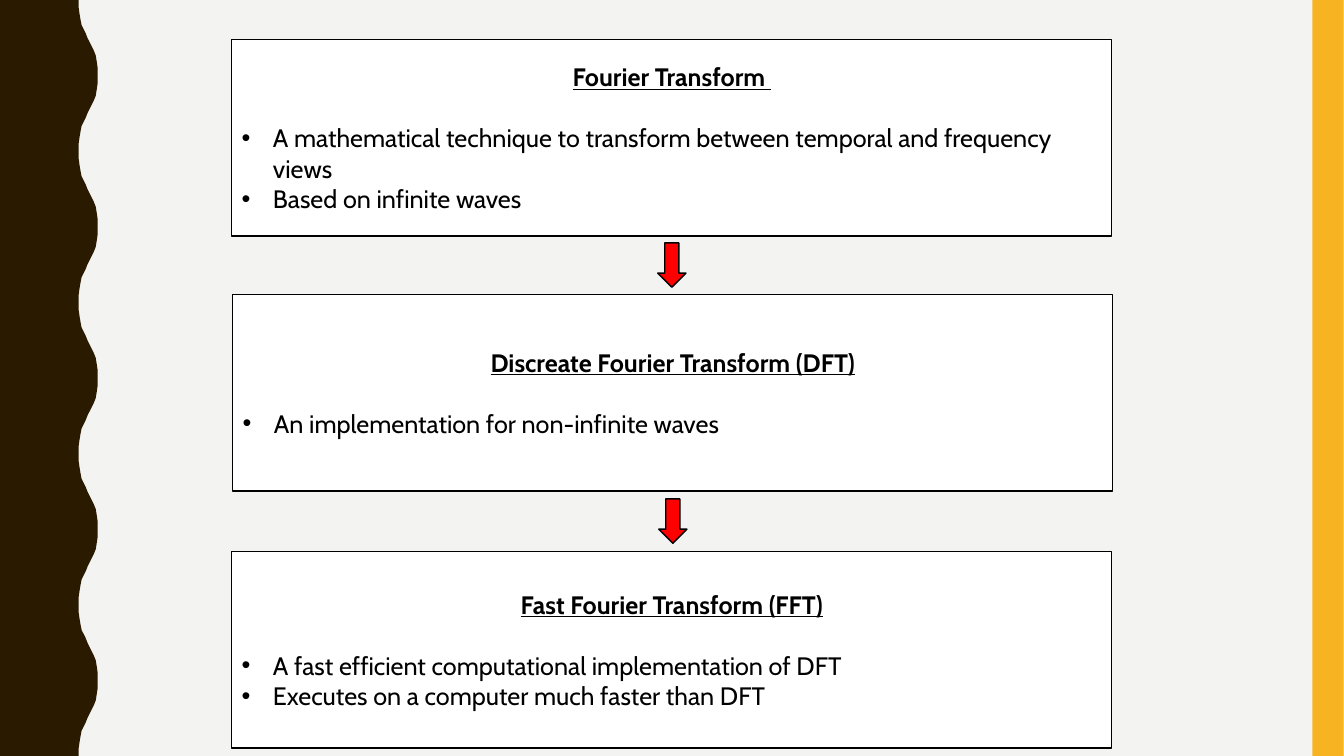
"""Build a slide that leads from the Fourier transform to DFT and FFT."""
from lxml.etree import SubElement
from pptx import Presentation
from pptx.dml.color import RGBColor
from pptx.enum.shapes import MSO_SHAPE as Preset
from pptx.enum.text import MSO_ANCHOR as Anchor, PP_ALIGN as Align
from pptx.oxml.ns import qn
from pptx.util import Emu, Inches, Pt

COLORS = {"paper": "F3F3F2", "wave": "2A1A00", "band": "F8B323",
          "box": "FFFFFF", "ink": "000000", "arrow": "FF0000"}
FONT = "Cabin"

deck = Presentation()
deck.slide_width, deck.slide_height = Emu(12192000), Inches(7.5)
ROWS = 750
cell = deck.slide_height // ROWS
COLUMNS = deck.slide_width // cell
page = deck.slides.add_slide(deck.slide_layouts[6])
page.background.fill.solid()
page.background.fill.fore_color.rgb = RGBColor.from_string(COLORS["paper"])


def paint(shape, fill, outline=None):
    shape.shadow.inherit = False
    shape.fill.solid()
    shape.fill.fore_color.rgb = RGBColor.from_string(COLORS[fill])
    if outline:
        shape.line.color.rgb = RGBColor.from_string(COLORS[outline])
        shape.line.width = Pt(1)
    else:
        shape.line.fill.background()


def add_preset(preset, left, top, width, height, fill, outline=None):
    shape = page.shapes.add_shape(
        preset, *[Emu(round(length * cell)) for length in (left, top, width, height)])
    paint(shape, fill, outline)
    return shape


PERIOD = 150
rising = [(78, 0), (78, 7), (79, 14), (80, 20), (81, 25), (83, 29), (85, 33), (87, 38),
          (89, 42), (91, 46), (93, 50), (95, 55), (96, 61), (97, 68), (97, 75)]
falling = [(x, PERIOD - y) for x, y in reversed(rising[:-1])]
edge = [(x, start + y) for start in range(0, ROWS, PERIOD) for x, y in rising + falling]
builder = page.shapes.build_freeform(0, 0, scale=cell)
builder.add_line_segments(edge + [(0, ROWS)], close=True)
paint(builder.convert_to_shape(), "wave")

BAND_WIDTH = 31
add_preset(Preset.RECTANGLE, COLUMNS - BAND_WIDTH, 0, BAND_WIDTH, ROWS, "band")

BOX_WIDTH, BOX_HEIGHT = 873, 195
ARROW_WIDTH, ARROW_HEIGHT = 28, 44
BULLET_INDENT = 31 * cell
steps = [
    (230, 39, "Fourier Transform ",
     ["A mathematical technique to transform between temporal and frequency views",
      "Based on infinite waves"]),
    (231, 292, "Discreate Fourier Transform (DFT)",
     ["An implementation for non-infinite waves"]),
    (230, 547, "Fast Fourier Transform (FFT)",
     ["A fast efficient computational implementation of DFT",
      "Executes on a computer much faster than DFT"]),
]

for left, top, title, points in steps:
    box = add_preset(Preset.RECTANGLE, left, top, BOX_WIDTH, BOX_HEIGHT, "box", "ink")
    frame = box.text_frame
    frame.word_wrap = True
    frame.vertical_anchor = Anchor.MIDDLE
    frame.text = "\n".join([title] + points)
    for number, para in enumerate(frame.paragraphs):
        is_title = number == 0
        para.alignment = Align.CENTER if is_title else Align.LEFT
        if is_title:
            para.space_after = Pt(22)
        else:
            settings = para._p.get_or_add_pPr()
            settings.set("marL", str(BULLET_INDENT))
            settings.set("indent", str(-BULLET_INDENT))
            SubElement(settings, qn("a:buFont")).set("typeface", "Arial")
            SubElement(settings, qn("a:buChar")).set("char", "•")
        for span in para.runs:
            span.font.name = FONT
            span.font.size = Pt(18)
            span.font.bold = span.font.underline = is_title
            span.font.color.rgb = RGBColor.from_string(COLORS["ink"])

for (left, top, *_), (_, next_top, *_) in zip(steps, steps[1:]):
    center = left + BOX_WIDTH / 2
    middle = (top + BOX_HEIGHT + next_top) / 2
    add_preset(Preset.DOWN_ARROW, center - ARROW_WIDTH / 2, middle - ARROW_HEIGHT / 2,
               ARROW_WIDTH, ARROW_HEIGHT, "arrow", "ink")

deck.save("out.pptx")
